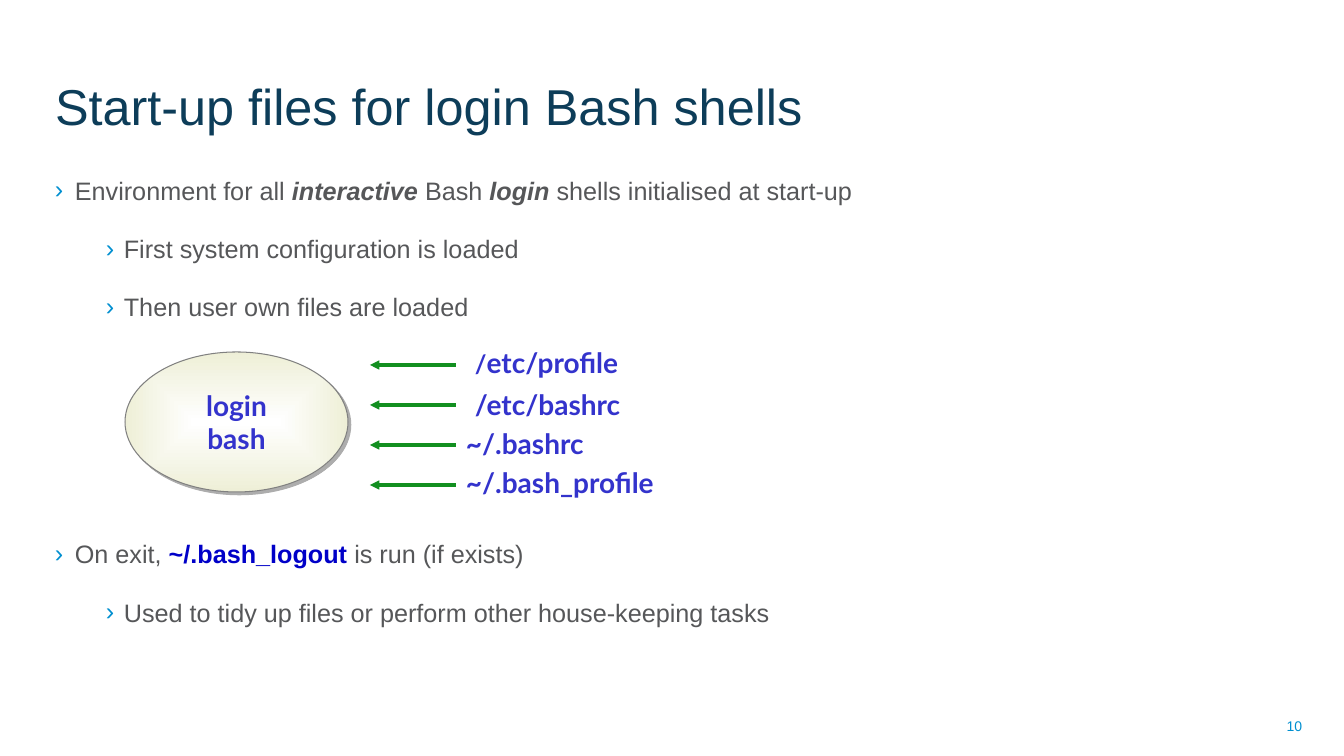
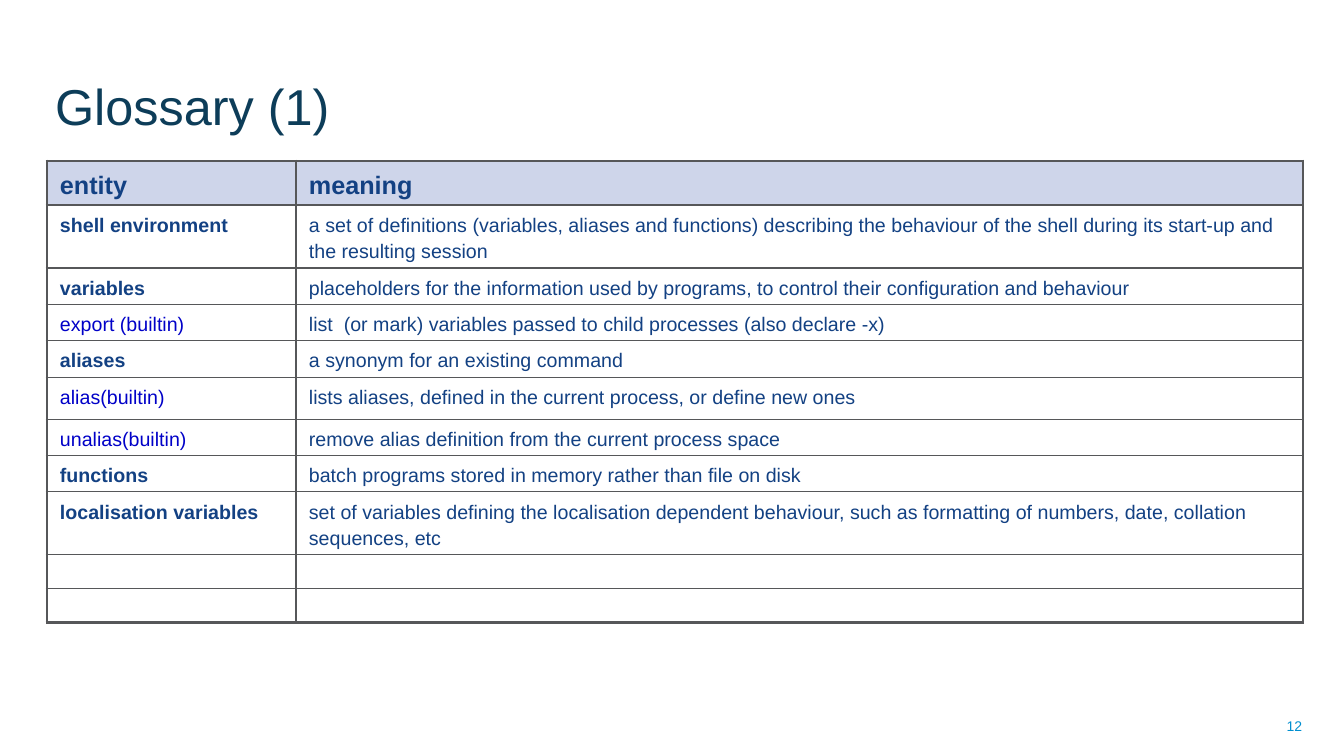
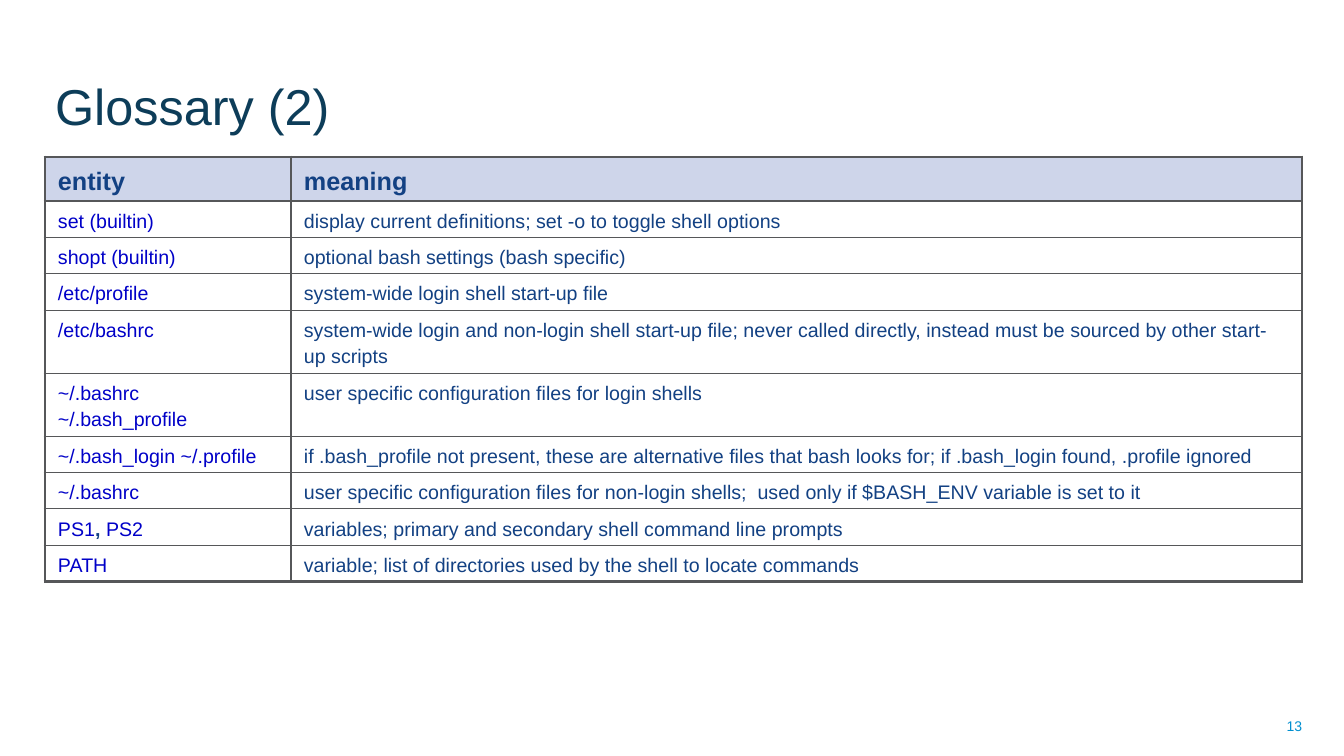
"""Build three slides about Bash start-up files and shell terms."""
from dataclasses import dataclass

from lxml import etree
from pptx import Presentation
from pptx.dml.color import RGBColor
from pptx.enum.shapes import MSO_CONNECTOR, MSO_SHAPE
from pptx.enum.text import MSO_ANCHOR, MSO_AUTO_SIZE, PP_ALIGN
from pptx.oxml.ns import qn
from pptx.util import Emu, Pt

ELLIPSE, STRAIGHT = MSO_SHAPE.OVAL, MSO_CONNECTOR.STRAIGHT
TOP, MIDDLE, BOTTOM = MSO_ANCHOR.TOP, MSO_ANCHOR.MIDDLE, MSO_ANCHOR.BOTTOM
LEFT, CENTER, RIGHT = PP_ALIGN.LEFT, PP_ALIGN.CENTER, PP_ALIGN.RIGHT
NO_FIT = MSO_AUTO_SIZE.NONE
EMU_PER_PIXEL = 914400 / 100.8
TITLE_ONLY = 5


@dataclass(frozen=True)
class Theme:
    """Hold the colours, fonts and type sizes of the deck."""

    title: str = "0D3D59"
    body: str = "565759"
    accent: str = "008FD0"
    code: str = "0000C8"
    navy: str = "134183"
    diagram: str = "3333CC"
    arrow: str = "128F20"
    header_fill: str = "CED5EA"
    ellipse_center: str = "FFFFFF"
    ellipse_edge: str = "EEEFD7"
    ellipse_line: str = "808080"
    shadow: str = "ADADAD"
    sans: str = "Arial"
    label: str = "Lato"
    title_size: float = 36
    body_size: float = 18
    label_size: float = 20
    cell_size: float = 14
    number_size: float = 10
    thin: float = 1
    thick: float = 2.25


THEME = Theme()


def text_style(color, size, name=THEME.sans, **extra):
    """Return the format values of one kind of text."""
    return {"color": color, "size": Pt(size), "name": name, **extra}


STYLES = {
    "title": text_style(THEME.title, THEME.title_size),
    "number": text_style(THEME.accent, THEME.number_size),
    "body": text_style(THEME.body, THEME.body_size),
    "emphasis": text_style(THEME.body, THEME.body_size, bold=True, italic=True),
    "file": text_style(THEME.code, THEME.body_size, bold=True),
    "label": text_style(THEME.diagram, THEME.label_size, THEME.label, bold=True),
    "slash": text_style(THEME.diagram, THEME.body_size, THEME.label, bold=True),
    "header": text_style(THEME.navy, THEME.body_size, bold=True),
    "term": text_style(THEME.navy, THEME.cell_size, bold=True),
    "command": text_style(THEME.code, THEME.cell_size),
    "meaning": text_style(THEME.navy, THEME.cell_size),
}


def pixels(*values):
    """Convert whole pixels into EMU lengths."""
    return [Emu(round(value * EMU_PER_PIXEL)) for value in values]


def rgb(value):
    """Return a colour from its hexadecimal form."""
    return RGBColor.from_string(value)


def set_format(target, values):
    """Set attributes of an object from a dict of format values."""
    for name, value in values.items():
        if name == "color":
            target.color.rgb = rgb(value)
        else:
            setattr(target, name, value)


def add_element(parent, tag, **attributes):
    """Append a drawing element with attributes and return it."""
    return etree.SubElement(parent, qn(tag), attributes)


def add_color(parent, value):
    """Append a solid fill to a line or border element."""
    add_element(add_element(parent, "a:solidFill"), "a:srgbClr", val=value)


def write_runs(paragraph, runs):
    """Write (text, style name) runs, with a line break at each newline."""
    for text, style_name in runs:
        style = STYLES[style_name]
        for index, line in enumerate(text.split("\n")):
            if index:
                paragraph.add_line_break()
                line_break = paragraph._p.findall(qn("a:br"))[-1]
                add_element(line_break, "a:rPr", sz=str(int(style["size"].pt * 100)))
            run = paragraph.add_run()
            run.text = line
            set_format(run.font, style)


def write_frame(frame, runs, anchor=TOP, alignment=LEFT, wrap=True):
    """Write one paragraph into a text frame."""
    set_format(frame, {"word_wrap": wrap, "auto_size": NO_FIT, "vertical_anchor": anchor})
    frame.paragraphs[0].alignment = alignment
    write_runs(frame.paragraphs[0], runs)


def add_text(slide, box, runs, **options):
    """Add a text box with one paragraph."""
    write_frame(slide.shapes.add_textbox(*pixels(*box)).text_frame, runs, **options)


def add_slide(presentation, title, number):
    """Add a slide with its title and page number."""
    slide = presentation.slides.add_slide(presentation.slide_layouts[TITLE_ONLY])
    left, top, width, height = pixels(45, 14, 1006, 127)
    set_format(slide.shapes.title,
               {"left": left, "top": top, "width": width, "height": height})
    write_frame(slide.shapes.title.text_frame, [(title, "title")], anchor=BOTTOM)
    add_text(slide, (999, 706, 313, 40), [(str(number), "number")],
             anchor=MIDDLE, alignment=RIGHT)
    return slide


def add_bullets(slide, box, items):
    """Add a bulleted list of (level, space before, runs) items."""
    frame = slide.shapes.add_textbox(*pixels(*box)).text_frame
    set_format(frame, {"word_wrap": True, "auto_size": NO_FIT})
    indents = [pixels(20, -20), pixels(69, -18)]
    for index, (level, space, runs) in enumerate(items):
        paragraph = frame.add_paragraph() if index else frame.paragraphs[0]
        set_format(paragraph, {"level": level, "space_before": Pt(space),
                               "space_after": Pt(10)})
        properties = paragraph._p.get_or_add_pPr()
        margin, indent = indents[level]
        properties.set("marL", str(margin))
        properties.set("indent", str(indent))
        color = add_element(properties, "a:buClr")
        add_element(color, "a:srgbClr", val=THEME.accent)
        add_element(properties, "a:buFont", typeface=THEME.sans)
        add_element(properties, "a:buChar", char="›")
        write_runs(paragraph, runs)


def add_shell(slide, box, text):
    """Add the shaded ellipse that stands for the shell."""
    ellipse = slide.shapes.add_shape(ELLIPSE, *pixels(*box))
    ellipse.shadow.inherit = False
    ellipse.fill.gradient()
    for stop, color in zip(ellipse.fill.gradient_stops,
                           (THEME.ellipse_center, THEME.ellipse_edge)):
        stop.color.rgb = rgb(color)
    properties = ellipse._element.spPr
    gradient = properties.find(qn("a:gradFill"))
    gradient.remove(gradient.find(qn("a:lin")))
    radial = add_element(gradient, "a:path", path="shape")
    add_element(radial, "a:fillToRect", l="50000", t="50000", r="50000", b="50000")
    ellipse.line.color.rgb = rgb(THEME.ellipse_line)
    ellipse.line.width = Pt(0.75)
    shadow = add_element(properties.find(qn("a:effectLst")), "a:outerShdw",
                         dist=str(Pt(2.8)), dir="2700000")
    add_element(shadow, "a:srgbClr", val=THEME.shadow)
    write_frame(ellipse.text_frame, [(text, "label")], anchor=MIDDLE,
                alignment=CENTER, wrap=False)


def add_arrow(slide, start, end, y):
    """Add a level arrow that points at its end."""
    arrow = slide.shapes.add_connector(STRAIGHT, *pixels(start, y, end, y))
    arrow.line.color.rgb = rgb(THEME.arrow)
    arrow.line.width = Pt(THEME.thick)
    properties = arrow._element.spPr
    add_element(properties.find(qn("a:ln")), "a:tailEnd", type="triangle")
    add_element(properties, "a:effectLst")


def format_cell(cell, runs, fill, thick_sides):
    """Write a cell and set its margins, borders and fill."""
    side, edge = pixels(13, 5)
    set_format(cell, {"margin_left": side, "margin_right": side,
                      "margin_top": edge, "margin_bottom": edge})
    properties = cell._tc.get_or_add_tcPr()
    for name in "LRTB":
        width = THEME.thick if name in thick_sides else THEME.thin
        add_color(add_element(properties, f"a:ln{name}", w=str(Pt(width))), THEME.body)
    if fill:
        cell.fill.solid()
        cell.fill.fore_color.rgb = rgb(fill)
    else:
        cell.fill.background()
    paragraph = cell.text_frame.paragraphs[0]
    if runs:
        paragraph.line_spacing = 1.2
        write_runs(paragraph, runs)
    else:
        add_element(paragraph._p, "a:endParaRPr", sz=str(int(THEME.cell_size * 100)))


def add_glossary(slide, corner, columns, entries, heights, blank_rows=0):
    """Add a table of (entity runs, meaning) with special row heights by index."""
    rows = [([("entity", "header")], [("meaning", "header")])]
    rows += [(entity, [(meaning, "meaning")]) for entity, meaning in entries]
    rows += [([], [])] * blank_rows
    row_heights = [heights.get(index, 36 if row[0] else 32)
                   for index, row in enumerate(rows)]
    frame = slide.shapes.add_table(
        len(rows), 2, *pixels(*corner, sum(columns), sum(row_heights)))
    table = frame.table
    set_format(table, {"first_row": False, "horz_banding": False})
    for column, width in zip(table.columns, pixels(*columns)):
        column.width = width
    for row, height in zip(table.rows, pixels(*row_heights)):
        row.height = height
    for row_index, row in enumerate(rows):
        for column_index, runs in enumerate(row):
            thick_sides = "L" if column_index == 0 else ""
            thick_sides += "T" if row_index == 0 else ""
            thick_sides += "B" if row_index == len(rows) - 1 else ""
            format_cell(table.cell(row_index, column_index), runs,
                        THEME.header_fill if row_index == 0 else None, thick_sides)


def term(text):
    """Return the runs of a bold term."""
    return [(text, "term")]


def command(text):
    """Return the runs of a command or file name."""
    return [(text, "command")]


def build_startup(presentation):
    """Build the slide on start-up files."""
    slide = add_slide(presentation, "Start-up files for login Bash shells", 10)
    add_bullets(slide, (45, 170, 1257, 501), [
        (0, 10, [("Environment for all ", "body"), ("interactive", "emphasis"),
                 (" Bash ", "body"), ("login", "emphasis"),
                 (" shells initialised at start-up", "body")]),
        (1, 10, [("First system configuration is loaded", "body")]),
        (1, 10, [("Then user own files are loaded", "body")]),
        (0, 145, [("On exit, ", "body"), ("~/.bash_logout ", "file"),
                  ("is run (if exists)", "body")]),
        (1, 10, [("Used to tidy up files or perform other house-keeping tasks",
                  "body")]),
    ])
    add_shell(slide, (125, 352, 223, 140), "login\nbash")
    startup_files = [
        (465, 341, [("/", "slash"), ("etc/profile", "label")]),
        (465, 383, [("/etc/bashrc", "label")]),
        (456, 422, [("~/.bashrc", "label")]),
        (456, 461, [("~/.bash_profile", "label")]),
    ]
    for index, (left, top, runs) in enumerate(startup_files):
        add_arrow(slide, 456, 370, 365 + 40 * index)
        add_text(slide, (left, top, 298, 44), runs)


def build_first_glossary(presentation):
    """Build the slide on environment terms."""
    slide = add_slide(presentation, "Glossary (1)", 12)
    add_glossary(slide, (47, 161), (249, 1007), [
        (term("shell environment"),
         "a set of definitions (variables, aliases and functions) describing the "
         "behaviour of the shell during its start-up and the resulting session"),
        (term("variables"),
         "placeholders for the information used by programs, to control their "
         "configuration and behaviour"),
        (command("export (builtin)"),
         "list  (or mark) variables passed to child processes (also declare -x)"),
        (term("aliases"), "a synonym for an existing command"),
        (command("alias(builtin)"),
         "lists aliases, defined in the current process, or define new ones"),
        (command("unalias(builtin)"),
         "remove alias definition from the current process space"),
        (term("functions"),
         "batch programs stored in memory rather than file on disk"),
        (term("localisation variables"),
         "set of variables defining the localisation dependent behaviour, such as "
         "formatting of numbers, date, collation sequences, etc"),
    ], {0: 44, 1: 63, 5: 42, 8: 63}, blank_rows=2)


def build_second_glossary(presentation):
    """Build the slide on commands, files and variables."""
    slide = add_slide(presentation, "Glossary (2)", 13)
    add_glossary(slide, (45, 157), (246, 1011), [
        (command("set (builtin)"),
         "display current definitions; set -o to toggle shell options"),
        (command("shopt (builtin)"), "optional bash settings (bash specific)"),
        (command("/etc/profile"), "system-wide login shell start-up file"),
        (command("/etc/bashrc"),
         "system-wide login and non-login shell start-up file; never called "
         "directly, instead must be sourced by other start-up scripts"),
        (command("~/.bashrc\n~/.bash_profile"),
         "user specific configuration files for login shells"),
        (command("~/.bash_login ~/.profile "),
         "if .bash_profile not present, these are alternative files that bash "
         "looks for; if .bash_login found, .profile ignored"),
        (command("~/.bashrc"),
         "user specific configuration files for non-login shells;  used only if "
         "$BASH_ENV variable is set to it"),
        (command("PS1") + term(", ") + command("PS2"),
         "variables; primary and secondary shell command line prompts"),
        (command("PATH"),
         "variable; list of directories used by the shell to locate commands"),
    ], {0: 44, 4: 63, 5: 63})


def main():
    """Build and save the presentation."""
    presentation = Presentation()
    width, height = pixels(1344, 756)
    set_format(presentation, {"slide_width": width, "slide_height": height})
    build_startup(presentation)
    build_first_glossary(presentation)
    build_second_glossary(presentation)
    presentation.save("out.pptx")


main()
